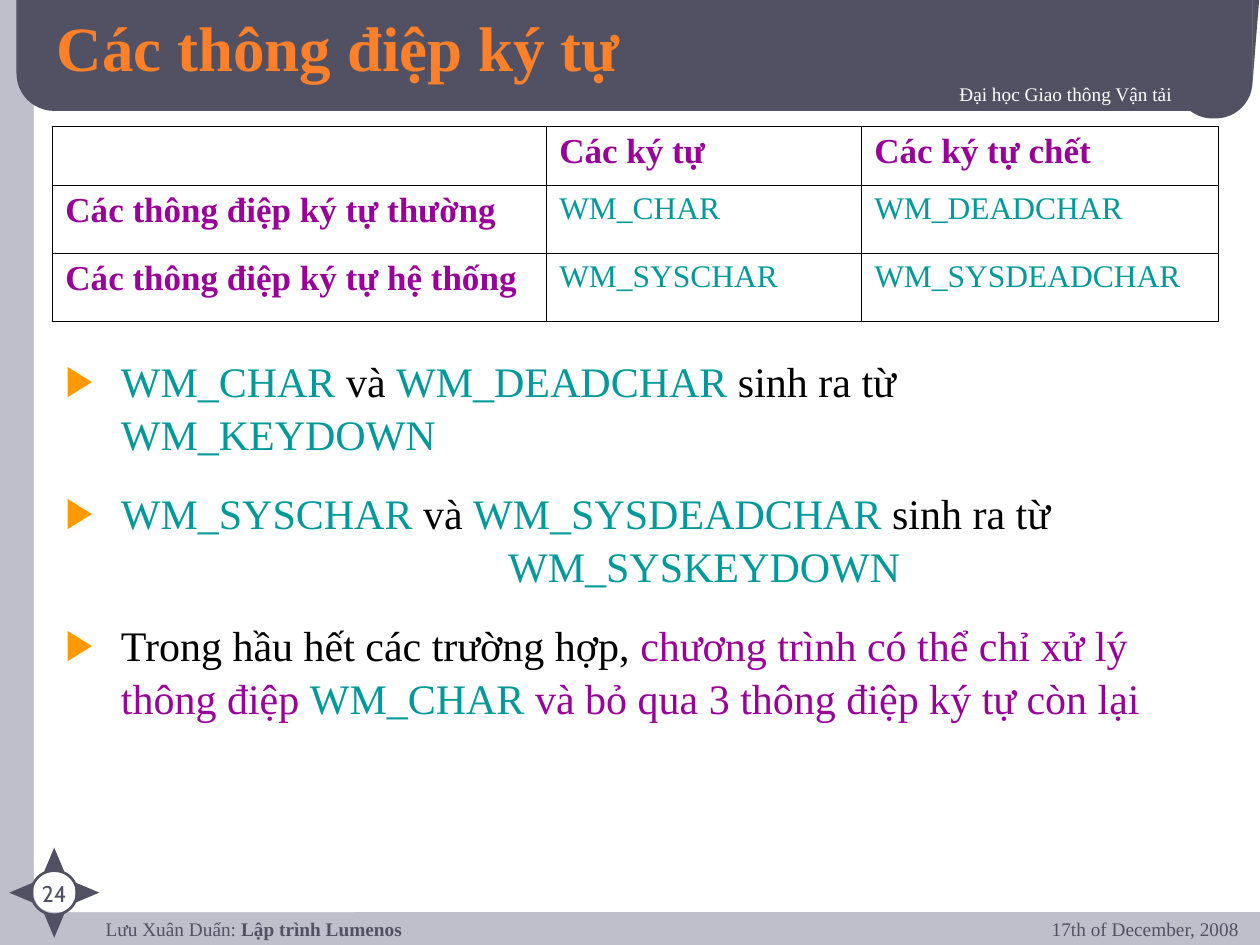
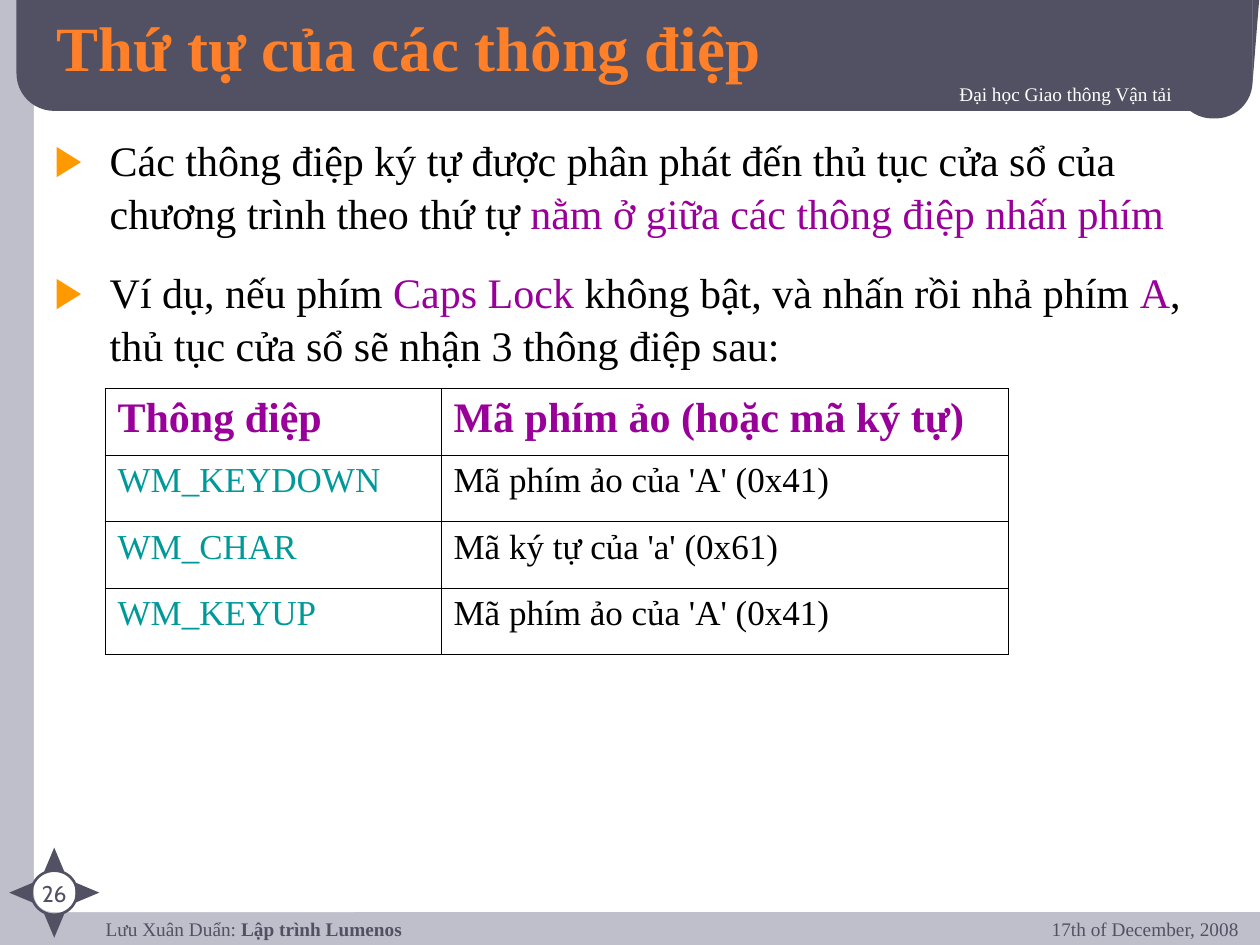
"""Build two lecture slides on character messages, with a shared compass frame."""
import math

import pptx
import pptx.dml.color
import pptx.enum.shapes
import pptx.enum.text
import pptx.oxml
import pptx.oxml.ns
import pptx.util

Pt = pptx.util.Pt
Color = pptx.dml.color.RGBColor
Shape = pptx.enum.shapes.MSO_SHAPE
Align = pptx.enum.text.PP_ALIGN
qn = pptx.oxml.ns.qn

LAVENDER = Color(0xBF, 0xBF, 0xCB)
SLATE = Color(0x51, 0x51, 0x63)
WHITE = Color(0xFF, 0xFF, 0xFF)
BLACK = Color(0x00, 0x00, 0x00)
ORANGE = Color(0xFF, 0x80, 0x29)
AMBER = Color(0xFF, 0x99, 0x00)
TEAL = Color(0x00, 0x99, 0x99)
PURPLE = Color(0x99, 0x00, 0x99)

FONT = "Times New Roman"
TITLE = {"size": Pt(36), "bold": True, "color": ORANGE}
SMALL = {"size": Pt(11), "color": SLATE}
SMALL_BOLD = {**SMALL, "bold": True}
SCHOOL = {**SMALL, "color": WHITE}
NUMBER = {"size": Pt(13), "color": SLATE, "name": "Cabin"}
PLAIN = {"size": Pt(24), "color": BLACK}
CODE = {**PLAIN, "color": TEAL}
KEY = {**PLAIN, "color": PURPLE}
HEAD = {**KEY, "bold": True}
HEAD_20 = {**HEAD, "size": Pt(20)}
CODE_18 = {**CODE, "size": Pt(18)}
CODE_20 = {**CODE, "size": Pt(20)}
PLAIN_20 = {**PLAIN, "size": Pt(20)}

HANGING = 31.7
COMPASS = (31, 510.1)
COMPASS_RADIUS = 18.9


class Lecture:
    """Holds the deck, the current page and the shared style."""

    def __init__(self):
        self.deck = pptx.Presentation()
        self.deck.slide_width, self.deck.slide_height = Pt(720), Pt(540)
        self.page = None

    def xml(self, markup):
        return pptx.oxml.parse_xml(markup.replace(">", f" {pptx.oxml.ns.nsdecls('a')}>", 1))

    def add_spans(self, para, spans, shadow=False):
        for text, style in spans:
            span = para.add_run()
            span.text = text
            values = {"name": FONT, **style}
            span.font.color.rgb = values.pop("color")
            for name, value in values.items():
                setattr(span.font, name, value)
            if shadow:
                effect = self.xml(
                    '<a:effectLst><a:outerShdw dist="25400" dir="2700000">'
                    '<a:srgbClr val="000000"/></a:outerShdw></a:effectLst>')
                span._r.get_or_add_rPr().find(qn("a:solidFill")).addnext(effect)

    def paint(self, shape, fill=SLATE, line=None):
        shape.shadow.inherit = False
        if fill is None:
            shape.fill.background()
        else:
            shape.fill.solid()
            shape.fill.fore_color.rgb = fill
        if line is None:
            shape.line.fill.background()
        else:
            shape.line.color.rgb, shape.line.width = line, Pt(1.5)

    def shape(self, kind, area, fill=SLATE, line=None, corner=None, rotation=0):
        shape = self.page.shapes.add_shape(kind, *map(Pt, area))
        if corner is not None:
            shape.adjustments[0] = corner
        shape.rotation = rotation
        self.paint(shape, fill, line)

    def label(self, area, spans, align=Align.LEFT, margin=3.6, shadow=False):
        frame = self.page.shapes.add_textbox(*map(Pt, area)).text_frame
        frame.word_wrap = True
        frame.margin_top = frame.margin_bottom = Pt(margin)
        frame.paragraphs[0].alignment = align
        self.add_spans(frame.paragraphs[0], spans, shadow)

    def compass(self, number):
        x, y = COMPASS
        self.label((x - 20.9, 499, 41.8, 15.8), [(number, NUMBER)], Align.CENTER)
        self.shape(Shape.OVAL, (x - 13, y - 12.6, 26, 25.2), None, SLATE)
        width, height = 11.5, 13.7
        for angle in range(0, 360, 90):
            left = x + COMPASS_RADIUS * math.sin(math.radians(angle)) - width / 2
            top = y - COMPASS_RADIUS * math.cos(math.radians(angle)) - height / 2
            self.shape(Shape.ISOSCELES_TRIANGLE, (left, top, width, height), rotation=angle)

    def start(self, title, number):
        self.page = self.deck.slides.add_slide(self.deck.slide_layouts[1])
        self.page.background.fill.solid()
        self.page.background.fill.fore_color.rgb = LAVENDER
        rounded = Shape.ROUNDED_RECTANGLE
        self.shape(rounded, (19.4, -9.4, 720.7, 530.6), WHITE, corner=0.02)
        self.shape(rounded, (9.4, -25.9, 706.3, 89.3), corner=0.24)
        self.shape(rounded, (671.8, 20.9, 43.9, 46.8), corner=0.48)
        outline = self.page.shapes.build_freeform(Pt(715.7), Pt(-5.8))
        outline.add_line_segments([(Pt(720), Pt(-5.8)), (Pt(715.7), Pt(48.2))])
        self.paint(outline.convert_to_shape())
        self.label((53.3, 524.2, 557.3, 23.8),
                   [("Lưu Xuân Duẩn: ", SMALL), ("Lập trình Lumenos", SMALL_BOLD)], margin=0)
        self.compass(number)
        self.label((218.2, 43.2, 458.6, 27.4), [("Đại học Giao thông Vận tải", SCHOOL)],
                   Align.RIGHT, shadow=True)
        self.label((541.4, 520.6, 173.5, 30.2), [("17th of December, 2008", SMALL)], Align.RIGHT)
        frame = self.place(self.page.shapes.title, (25.2, 5.8, 601.9, 41))
        frame.vertical_anchor = pptx.enum.text.MSO_ANCHOR.MIDDLE
        frame.paragraphs[0].alignment = Align.LEFT
        self.add_spans(frame.paragraphs[0], [(title, TITLE)], shadow=True)

    def place(self, holder, area):
        for name, value in zip(("left", "top", "width", "height"), area):
            setattr(holder, name, Pt(value))
        holder.element.getparent().append(holder.element)
        holder.text_frame.auto_size = pptx.enum.text.MSO_AUTO_SIZE.NONE
        return holder.text_frame

    def bullets(self, area, items):
        frame = self.place(self.page.placeholders[1], area)
        for index, (spans, indent) in enumerate(items):
            para = frame.add_paragraph() if index else frame.paragraphs[0]
            para.line_spacing = 1.05
            para.space_before = Pt(0 if indent else 15)
            properties = para._p.get_or_add_pPr()
            properties.set("marL", str(Pt(indent or HANGING)))
            properties.set("indent", str(Pt(0 if indent else -HANGING)))
            if indent:
                properties.append(self.xml("<a:buNone></a:buNone>"))
            else:
                properties.append(self.xml(f'<a:buClr><a:srgbClr val="{AMBER}"/></a:buClr>'))
                properties.append(self.xml('<a:buChar char="▶"></a:buChar>'))
            self.add_spans(para, spans)

    def table(self, corner, widths, heights, rows):
        area = (*corner, sum(widths), sum(heights))
        table = self.page.shapes.add_table(len(heights), len(widths), *map(Pt, area)).table
        table.first_row = table.horz_banding = False
        for column, width in zip(table.columns, widths):
            column.width = Pt(width)
        for row, height, spans in zip(table.rows, heights, rows):
            row.height = Pt(height)
            for cell, span in zip(row.cells, spans):
                for side in "LRTB":
                    cell._tc.get_or_add_tcPr().append(self.xml(
                        f'<a:ln{side} w="{Pt(0.45)}"><a:solidFill>'
                        f'<a:srgbClr val="{BLACK}"/></a:solidFill></a:ln{side}>'))
                cell.fill.background()
                if span:
                    self.add_spans(cell.text_frame.paragraphs[0], [span])


def main():
    lecture = Lecture()

    lecture.start("Các thông điệp ký tự", "24")
    lecture.bullets((30.2, 198, 671.8, 210.2), [
        ([("WM_CHAR", CODE), (" và ", PLAIN), ("WM_DEADCHAR", CODE),
          (" sinh ra từ ", PLAIN), ("WM_KEYDOWN", CODE)], None),
        ([("WM_SYSCHAR", CODE), (" và ", PLAIN), ("WM_SYSDEADCHAR", CODE),
          (" sinh ra từ", PLAIN)], None),
        ([("WM_SYSKEYDOWN", CODE)], 253),
        ([("Trong hầu hết các trường hợp, ", PLAIN),
          ("chương trình có thể chỉ xử lý thông điệp ", KEY), ("WM_CHAR ", CODE),
          ("và bỏ qua 3 thông điệp ký tự còn lại", KEY)], None),
    ])
    lecture.table((30.2, 72), (282.2, 180, 203.8), (33.8, 38.9, 38.9), [
        (None, ("Các ký tự", HEAD_20), ("Các ký tự chết", HEAD_20)),
        (("Các thông điệp ký tự thường", HEAD_20), ("WM_CHAR", CODE_18),
         ("WM_DEADCHAR", CODE_18)),
        (("Các thông điệp ký tự hệ thống", HEAD_20), ("WM_SYSCHAR", CODE_18),
         ("WM_SYSDEADCHAR", CODE_18)),
    ])

    lecture.start("Thứ tự của các thông điệp", "26")
    lecture.bullets((23.8, 72, 660.2, 137.5), [
        ([("Các thông điệp ký tự được phân phát đến thủ tục cửa sổ của "
           "chương trình theo thứ tự ", PLAIN),
          ("nằm ở giữa các thông điệp nhấn phím", KEY)], None),
        ([("Ví dụ, nếu phím ", PLAIN), ("Caps Lock", KEY),
          (" không bật, và nhấn rồi nhả phím ", PLAIN), ("A", KEY),
          (", thủ tục cửa sổ sẽ nhận 3 thông điệp sau:", PLAIN)], None),
    ])
    messages = [("WM_KEYDOWN", "Mã phím ảo của 'A' (0x41)"),
                ("WM_CHAR", "Mã ký tự của 'a' (0x61)"),
                ("WM_KEYUP", "Mã phím ảo của 'A' (0x41)")]
    lecture.table((60, 222), (192, 324), [38] * 4, [
        (("Thông điệp", HEAD), ("Mã phím ảo (hoặc mã ký tự)", HEAD)),
        *(((message, CODE_20), (meaning, PLAIN_20)) for message, meaning in messages),
    ])

    lecture.deck.save("out.pptx")


if __name__ == "__main__":
    main()
